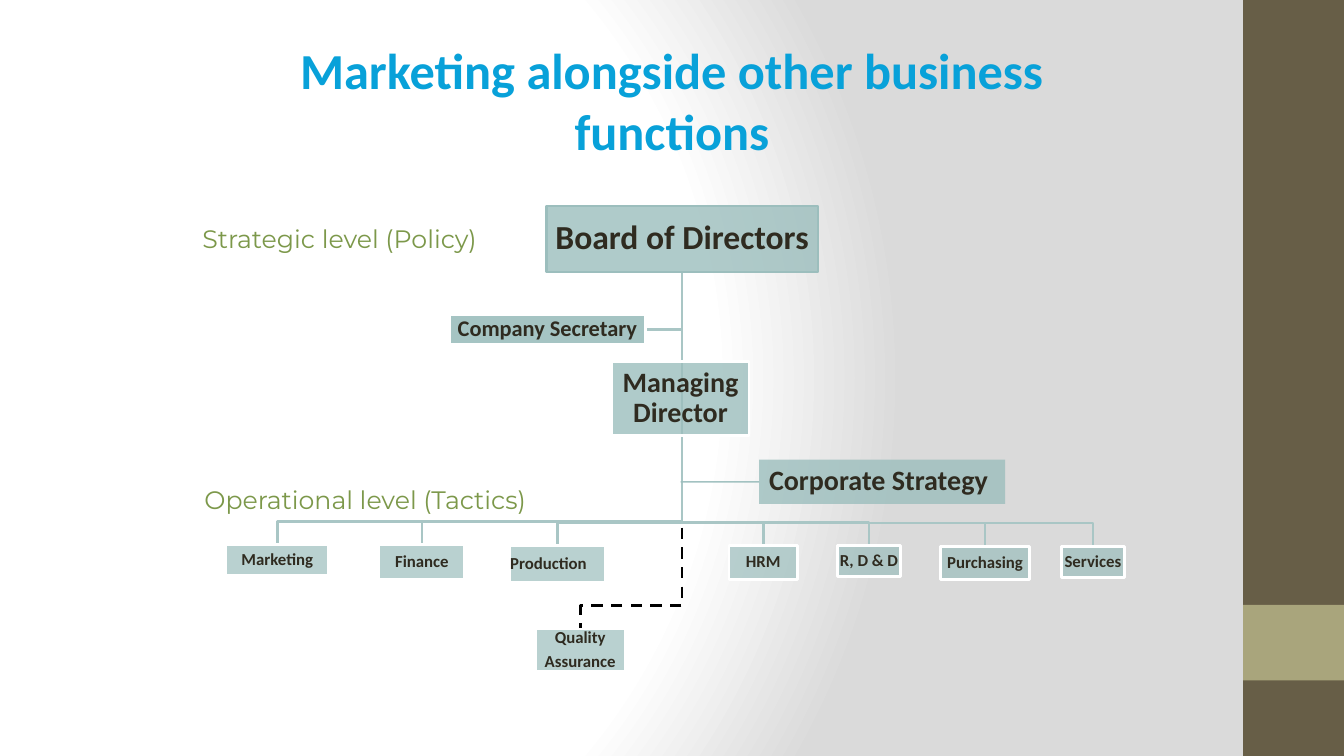
from dataclasses import dataclass
from typing import Optional

from lxml import etree
from pptx import Presentation
from pptx import util as u
from pptx.dml import color
from pptx.enum import dml, shapes, text
from pptx.oxml import parse_xml
from pptx.oxml.ns import nsdecls, qn

CELL = u.Inches(0.1)  # the grid has square cells: 133.3 columns by 75 rows
STEM_COL, STEM_ROW = 67.65, 26.9  # where the reporting lines leave the board
BUS_GAP = 2.3  # rows between a branch line and the box under it
INK, TEAL, PALE_TEAL, GREEN = "2F2B20", "9CBEBD", "A9C6C5", "7C984A"


@dataclass
class Area:
    col: float
    row: float
    wide: float
    high: float

    @property
    def middle(self) -> float:
        return self.col + self.wide / 2

    def emu(self) -> tuple:
        return tuple(grid(n) for n in (self.col, self.row, self.wide, self.high))


@dataclass
class Unit:
    lines: list
    area: Area
    size: float = 12
    opacity: int = 70
    border: Optional[str] = "FFFFFF"
    weight: float = 2
    inset: float = 0.1
    align: text.PP_ALIGN = text.PP_ALIGN.CENTER
    dashed: bool = False


def grid(cells: float) -> int:
    return round(cells * CELL)


def rgb(code: str) -> color.RGBColor:
    return color.RGBColor.from_string(code)


def set_opacity(fill_parent, percent: int) -> None:
    tone = fill_parent.find(qn("a:solidFill"))[0]
    etree.SubElement(tone, qn("a:alpha")).set("val", str(percent * 1000))


def add_span(para, words: str, font: str, size: float, code: str, bold: bool) -> None:
    span = para.add_run()
    span.text = words
    span.font.name, span.font.size, span.font.bold = font, u.Pt(size), bold
    span.font.color.rgb = rgb(code)


def draw_bar(page, area: Area, code: str):
    box = page.shapes.add_shape(shapes.MSO_SHAPE.RECTANGLE, *area.emu())
    box.shadow.inherit = False
    box.fill.solid()
    box.fill.fore_color.rgb = rgb(code)
    box.line.fill.background()
    return box


def draw_unit(page, unit: Unit):
    box = draw_bar(page, unit.area, TEAL)
    set_opacity(box._element.spPr, unit.opacity)
    if unit.border:
        box.line.color.rgb = rgb(unit.border)
        box.line.width = u.Pt(unit.weight)
    frame = box.text_frame
    frame.word_wrap = True
    frame.vertical_anchor = text.MSO_ANCHOR.MIDDLE
    frame.margin_left = frame.margin_right = grid(unit.inset)
    frame.margin_top = frame.margin_bottom = grid(min(unit.inset, 0.5))
    for index, words in enumerate(unit.lines):
        para = frame.add_paragraph() if index else frame.paragraphs[0]
        para.alignment = unit.align
        para.line_spacing = 0.9
        para.space_after = u.Pt(0.35 * unit.size)
        add_span(para, words, "Calibri", unit.size, INK, True)
    return box


def draw_route(page, points: list, code: str = PALE_TEAL, dashed: bool = False) -> None:
    (start, *rest) = [(grid(col), grid(row)) for col, row in points]
    builder = page.shapes.build_freeform(*start, scale=1.0)
    builder.add_line_segments(rest, close=False)
    route = builder.convert_to_shape()
    route.shadow.inherit = False
    route.fill.background()
    route.line.color.rgb = rgb(code)
    route.line.width = u.Pt(2)
    if dashed:
        route.line.dash_style = dml.MSO_LINE.DASH


def draw_branch(page, unit: Unit) -> None:
    top, middle = unit.area.row, unit.area.middle
    bus = top - BUS_GAP
    points = [(STEM_COL, STEM_ROW), (STEM_COL, bus), (middle, bus), (middle, top)]
    draw_route(page, points, "000000" if unit.dashed else PALE_TEAL, unit.dashed)


def draw_level(page, words: str, area: Area) -> None:
    box = page.shapes.add_textbox(*area.emu())
    box.text_frame.word_wrap = True
    add_span(box.text_frame.paragraphs[0], words, "Montserrat", 18, GREEN, False)


def set_background(page) -> None:
    page.background.fill.gradient()
    linear = page.background._cSld.find(".//" + qn("a:gradFill"))
    stops = "".join(
        f'<a:gs pos="{share * 1000}"><a:srgbClr val="{code}"/></a:gs>'
        for share, code in ((0, "FFFFFF"), (75, "FFFFFF"), (100, "DADADA")))
    radial = parse_xml(
        f'<a:gradFill {nsdecls("a")} rotWithShape="1"><a:gsLst>{stops}</a:gsLst>'
        '<a:path path="circle"><a:fillToRect l="20000" t="50000" r="100000" b="50000"/>'
        '</a:path></a:gradFill>')
    linear.getparent().replace(linear, radial)


BOARD = Unit(["Board of Directors"], Area(54.2, 20.4, 26.9, 6.6), 24, 80, TEAL, 1.5, 0.2)
SECRETARY = Unit(["Company Secretary"], Area(44.6, 31.2, 19.4, 3), 16, 90)
MANAGER = Unit(["Managing Director"], Area(60.7, 35.9, 13.6, 7.3), 20, 80)
STRATEGY = Unit(["Corporate Strategy"], Area(75.3, 45.6, 24.4, 4.4), 20, 80,
                border=None, inset=1, align=text.PP_ALIGN.LEFT)
# From back to front
DEPARTMENTS = [
    Unit(["Services"], Area(105.3, 54.2, 6.2, 3.1)),
    Unit(["Purchasing"], Area(93.3, 54.2, 8.8, 3.3)),
    Unit(["R, D & D"], Area(83.1, 54.1, 6.2, 3.1)),
    Unit(["HRM"], Area(72.3, 54.1, 6.8, 3.4)),
    Unit(["Finance"], Area(37.6, 54, 8.5, 3.5)),
    Unit(["Quality", "Assurance"], Area(53.1, 62.4, 8.9, 4.2), dashed=True),
    Unit(["Production"], Area(50.5, 54.1, 9.6, 3.7), align=text.PP_ALIGN.LEFT),
    Unit(["Marketing"], Area(22.4, 54, 10.2, 3.1)),
]


def main() -> None:
    deck = Presentation()
    deck.slide_width, deck.slide_height = u.Inches(13.33), u.Inches(7.5)
    page = deck.slides.add_slide(deck.slide_layouts[5])
    set_background(page)

    # Side band
    draw_bar(page, Area(123.3, 0, 10, 75), "675E47")
    draw_bar(page, Area(123.3, 60, 10, 7.5), "A9A57C")

    # Title
    title = page.shapes.title
    title.left, title.top, title.width, title.height = Area(19.1, 3.4, 95.1, 13.1).emu()
    frame = title.text_frame
    frame.word_wrap = True
    frame.auto_size = text.MSO_AUTO_SIZE.NONE
    frame.vertical_anchor = text.MSO_ANCHOR.TOP
    frame.paragraphs[0].alignment = text.PP_ALIGN.CENTER
    add_span(frame.paragraphs[0], "Marketing alongside other business functions",
             "Calibri", 36, "08A1D9", True)

    # Reporting lines, then the boxes over them
    desk = SECRETARY.area
    desk_row = desk.row + desk.high / 2
    draw_route(page, [(STEM_COL, STEM_ROW), (STEM_COL, desk_row),
                      (desk.col + desk.wide, desk_row)])
    for unit in DEPARTMENTS:
        draw_branch(page, unit)
    for unit in [BOARD, *DEPARTMENTS, SECRETARY, MANAGER]:
        draw_unit(page, unit)

    # Level labels
    draw_level(page, "Strategic level (Policy)", Area(19.1, 21.7, 34.2, 4))
    draw_level(page, "Operational level (Tactics)", Area(19.3, 47.6, 39.4, 4))

    # Corporate strategy and its link to the stem
    strategy = draw_unit(page, STRATEGY)
    row = grid(47.8)
    link = page.shapes.add_connector(
        shapes.MSO_CONNECTOR.STRAIGHT, grid(67.5), row, strategy.left, row)
    link.end_connect(strategy, 1)
    link.line.color.rgb = rgb(TEAL)
    link.line.width = u.Pt(1)
    set_opacity(link.line._ln, 92)
    etree.SubElement(link._element.spPr, qn("a:effectLst"))

    deck.save("out.pptx")


if __name__ == "__main__":
    main()
